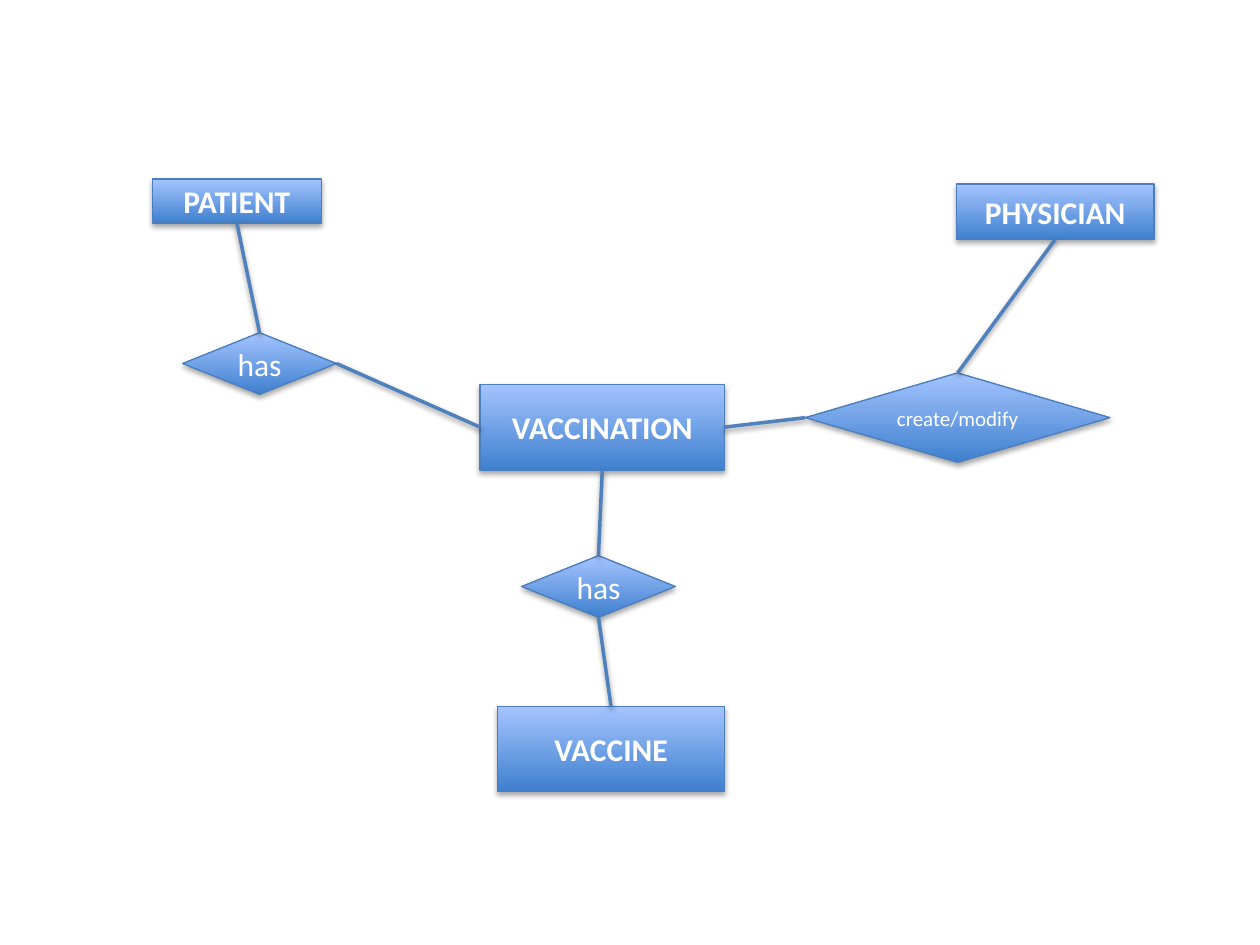
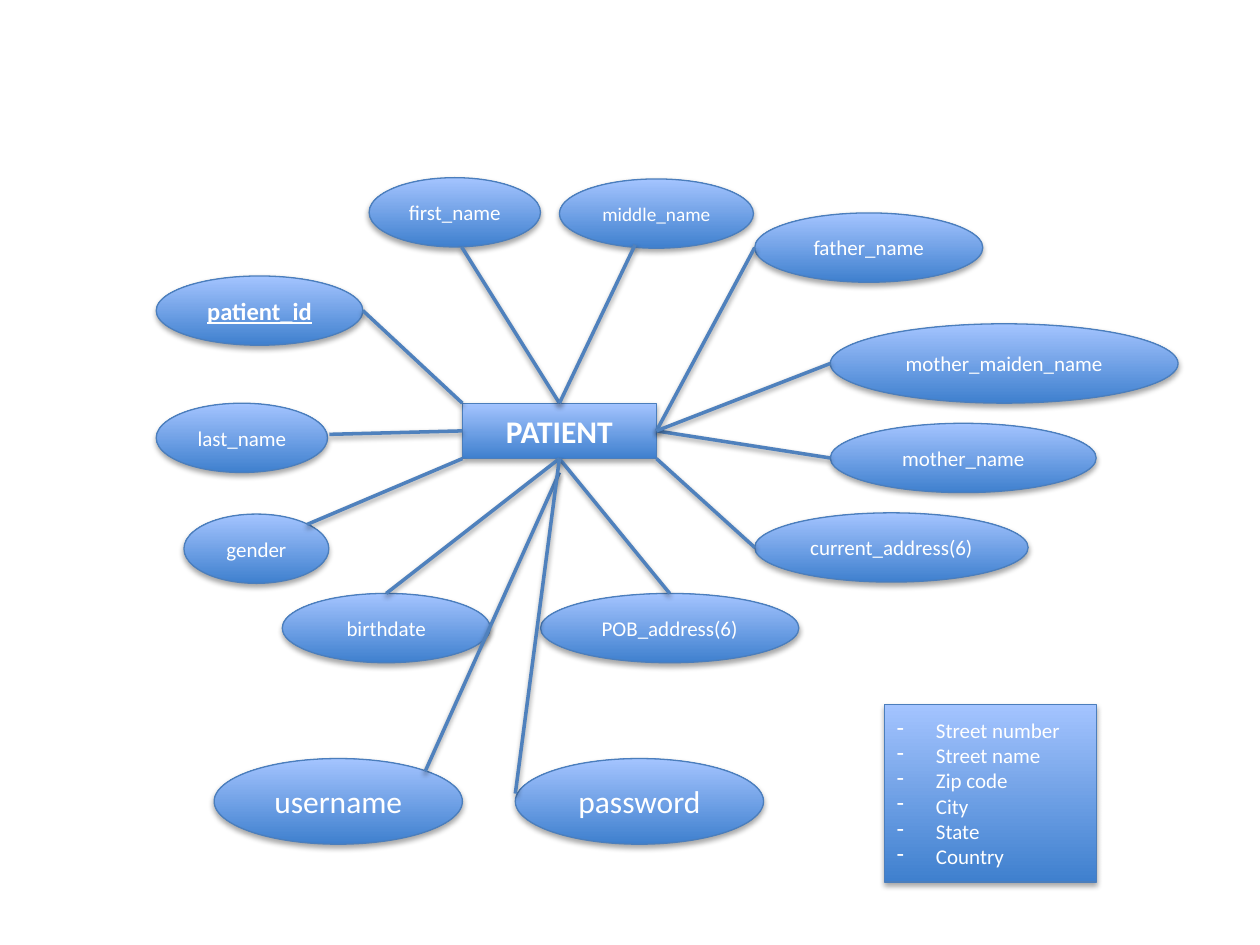
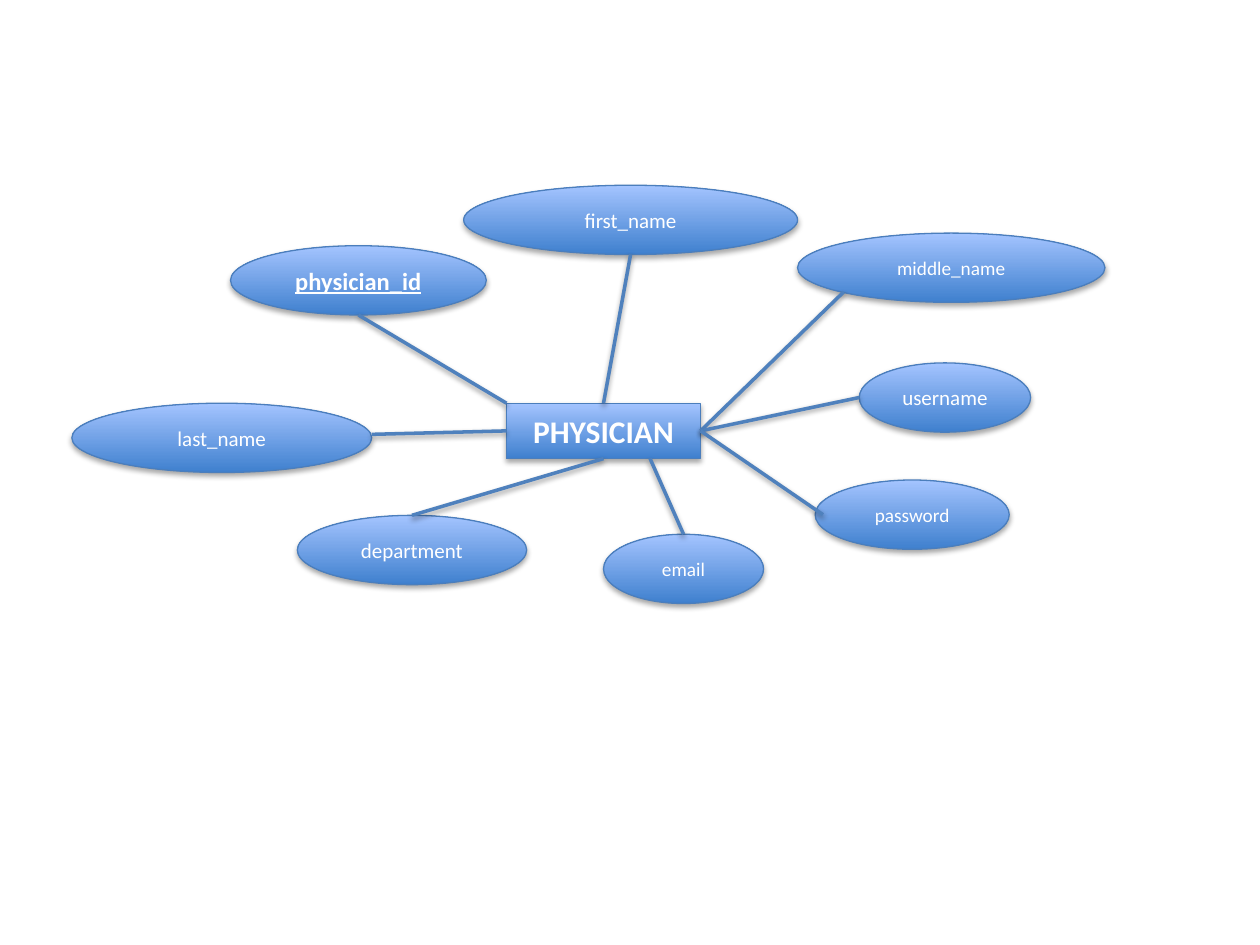
"""Build three entity-relationship diagrams: the overview, the patient and the physician."""
from lxml import etree
from pptx import Presentation
from pptx.dml.color import RGBColor
from pptx.enum.shapes import MSO_CONNECTOR, MSO_SHAPE
from pptx.enum.text import MSO_ANCHOR, PP_ALIGN
from pptx.oxml import parse_xml
from pptx.oxml.ns import qn
from pptx.util import Inches, Pt

RECT, OVAL, DECISION = MSO_SHAPE.RECTANGLE, MSO_SHAPE.OVAL, MSO_SHAPE.FLOWCHART_DECISION
STRAIGHT = MSO_CONNECTOR.STRAIGHT
MIDDLE = MSO_ANCHOR.MIDDLE
LEFT, CENTER = PP_ALIGN.LEFT, PP_ALIGN.CENTER

FONT = "Calibri"
COLORS = {"dark": "3F80CE", "light": "A4C4FF", "edge": "4B7EBC",
          "link": "4F81BD", "text": "FFFFFF", "shadow": "000000"}
RGB = {name: RGBColor.from_string(value) for name, value in COLORS.items()}
SHADOW = (
    '<a:effectLst xmlns:a="http://schemas.openxmlformats.org/drawingml/2006/main">'
    '<a:outerShdw blurRad="40000" dist="{dist}" dir="5400000" rotWithShape="0">'
    '<a:srgbClr val="{color}"><a:alpha val="{alpha}"/></a:srgbClr>'
    '</a:outerShdw></a:effectLst>')

T, B, L, R = (0.5, 0), (0.5, 1), (0, 0.5), (1, 0.5)
TL, BL, BR = (0, 0), (0, 1), (1, 1)
ARC_TR, ARC_BL = (0.85, 0.15), (0.15, 0.85)

prs = Presentation()
prs.slide_width, prs.slide_height = Inches(10), Inches(7.5)
BLANK = prs.slide_layouts[6]
COL, ROW = prs.slide_width / 10, prs.slide_height / 7.5


def add_node(s, kind, box, lines, size, bold=False, underline=False, bullet=None):
    """Add a gradient shape; box is left, top, width, height in columns and rows."""
    x, y, w, h = box
    sp = s.shapes.add_shape(kind, int(x * COL), int(y * ROW), int(w * COL), int(h * ROW))
    sp.fill.gradient()
    sp.fill.gradient_angle = 90
    for stop, name in zip(sp.fill.gradient_stops, ("dark", "light")):
        stop.color.rgb = RGB[name]
    sp.line.color.rgb = RGB["edge"]
    sp.line.width = Pt(0.75)
    sp._element.spPr.append(parse_xml(SHADOW.format(dist=23000, color=COLORS["shadow"], alpha=35000)))
    tf = sp.text_frame
    tf.word_wrap = True
    tf.vertical_anchor = MIDDLE
    for i, line in enumerate(lines):
        p = tf.add_paragraph() if i else tf.paragraphs[0]
        p.alignment = LEFT if bullet else CENTER
        if bullet:
            pPr = p._p.get_or_add_pPr()
            pPr.set("marL", str(Inches(0.31)))
            pPr.set("indent", str(-Inches(0.31)))
            etree.SubElement(pPr, qn("a:buChar")).set("char", bullet)
        r = p.add_run()
        r.text = line
        r.font.name, r.font.size = FONT, Pt(size)
        r.font.bold, r.font.underline = bold, underline
        r.font.color.rgb = RGB["text"]
    return sp


def add_link(s, start, start_at, end, end_at):
    """Join two shapes at points given as shares of each shape's size."""
    ends = [int(v) for sp, (fx, fy) in ((start, start_at), (end, end_at))
            for v in (sp.left + fx * sp.width, sp.top + fy * sp.height)]
    line = s.shapes.add_connector(STRAIGHT, *ends)
    line.line.color.rgb = RGB["link"]
    line.line.width = Pt(2)
    line._element.spPr.append(parse_xml(SHADOW.format(dist=20000, color=COLORS["shadow"], alpha=38000)))


ENTITIES = [
    ("PATIENT", (1.21, 1.42, 1.34, 0.35)),
    ("VACCINATION", (3.81, 3.05, 1.94, 0.68)),
    ("PHYSICIAN", (7.59, 1.46, 1.57, 0.44)),
    ("VACCINE", (3.95, 5.61, 1.8, 0.67)),
]
RELATIONS = [
    ("has", (1.45, 2.64, 1.22, 0.49), 18, ("PATIENT", B, T), ("VACCINATION", L, R)),
    ("has", (4.14, 4.41, 1.22, 0.49), 18, ("VACCINATION", B, T), ("VACCINE", T, B)),
    ("create/modify", (6.39, 2.96, 2.42, 0.71), 12, ("VACCINATION", R, L), ("PHYSICIAN", B, T)),
]
s = prs.slides.add_slide(BLANK)
entities = {name: add_node(s, RECT, box, [name], 18, bold=True) for name, box in ENTITIES}
for text, box, size, *links in RELATIONS:
    relation = add_node(s, DECISION, box, [text], size)
    for name, entity_at, relation_at in links:
        add_link(s, entities[name], entity_at, relation, relation_at)

ATTRIBUTE_SLIDES = [
    ("PATIENT", (3.67, 3.2, 1.54, 0.44), [
        ("patient_id", (1.24, 2.19, 1.64, 0.55), 14, TL, R),
        ("gender", (1.46, 4.08, 1.15, 0.55), 12, BL, ARC_TR),
        ("mother_name", (6.59, 3.36, 2.11, 0.55), 12, R, L),
        ("father_name", (5.99, 1.69, 1.81, 0.55), 12, R, L),
        ("first_name", (2.93, 1.41, 1.36, 0.55), 12, T, (0.54, 1)),
        ("middle_name", (4.44, 1.42, 1.54, 0.55), 11, T, (0.39, 0.95)),
        ("last_name", (1.24, 3.2, 1.36, 0.55), 12, L, (1.01, 0.45)),
        ("POB_address(6)", (4.29, 4.71, 2.05, 0.55), 12, B, T),
        ("birthdate", (2.24, 4.71, 1.65, 0.55), 12, B, T),
        ("current_address(6)", (5.99, 4.07, 2.17, 0.55), 12, BR, L),
        ("mother_maiden_name", (6.59, 2.57, 2.76, 0.63), 12, R, L),
        ("username", (1.7, 6.02, 1.97, 0.68), 18, (0.5, 1.25), ARC_TR),
        ("password", (4.09, 6.02, 1.97, 0.68), 18, B, (0, 0.41)),
    ]),
    ("PHYSICIAN", (4.02, 3.2, 1.54, 0.44), [
        ("physician_id", (1.83, 1.95, 2.03, 0.55), 14, TL, B),
        ("first_name", (3.68, 1.47, 2.65, 0.55), 12, T, B),
        ("middle_name", (6.33, 1.85, 2.44, 0.55), 11, R, ARC_BL),
        ("last_name", (0.57, 3.2, 2.38, 0.55), 12, L, (1, 0.45)),
        ("department", (2.36, 4.09, 1.82, 0.55), 12, B, T),
        ("username", (6.82, 2.88, 1.36, 0.55), 12, R, L),
        ("password", (6.47, 3.81, 1.54, 0.55), 11, R, (0.04, 0.5)),
        ("email", (4.79, 4.24, 1.27, 0.55), 11, (0.74, 1), T),
    ]),
]
ADDRESS_PARTS = ["Street number", "Street name", "Zip code", "City", "State", "Country"]

for name, entity_box, attributes in ATTRIBUTE_SLIDES:
    s = prs.slides.add_slide(BLANK)
    entity = add_node(s, RECT, entity_box, [name], 18, bold=True)
    ovals = []
    for text, box, size, *anchors in attributes:
        is_key = text.endswith("_id")
        ovals.append((add_node(s, OVAL, box, [text], size, is_key, is_key), *anchors))
    for oval, entity_at, oval_at in ovals:
        add_link(s, entity, entity_at, oval, oval_at)
    if name == "PATIENT":
        add_node(s, RECT, (7.02, 5.59, 1.68, 1.41), ADDRESS_PARTS, 12, bullet="-")

prs.save("out.pptx")
